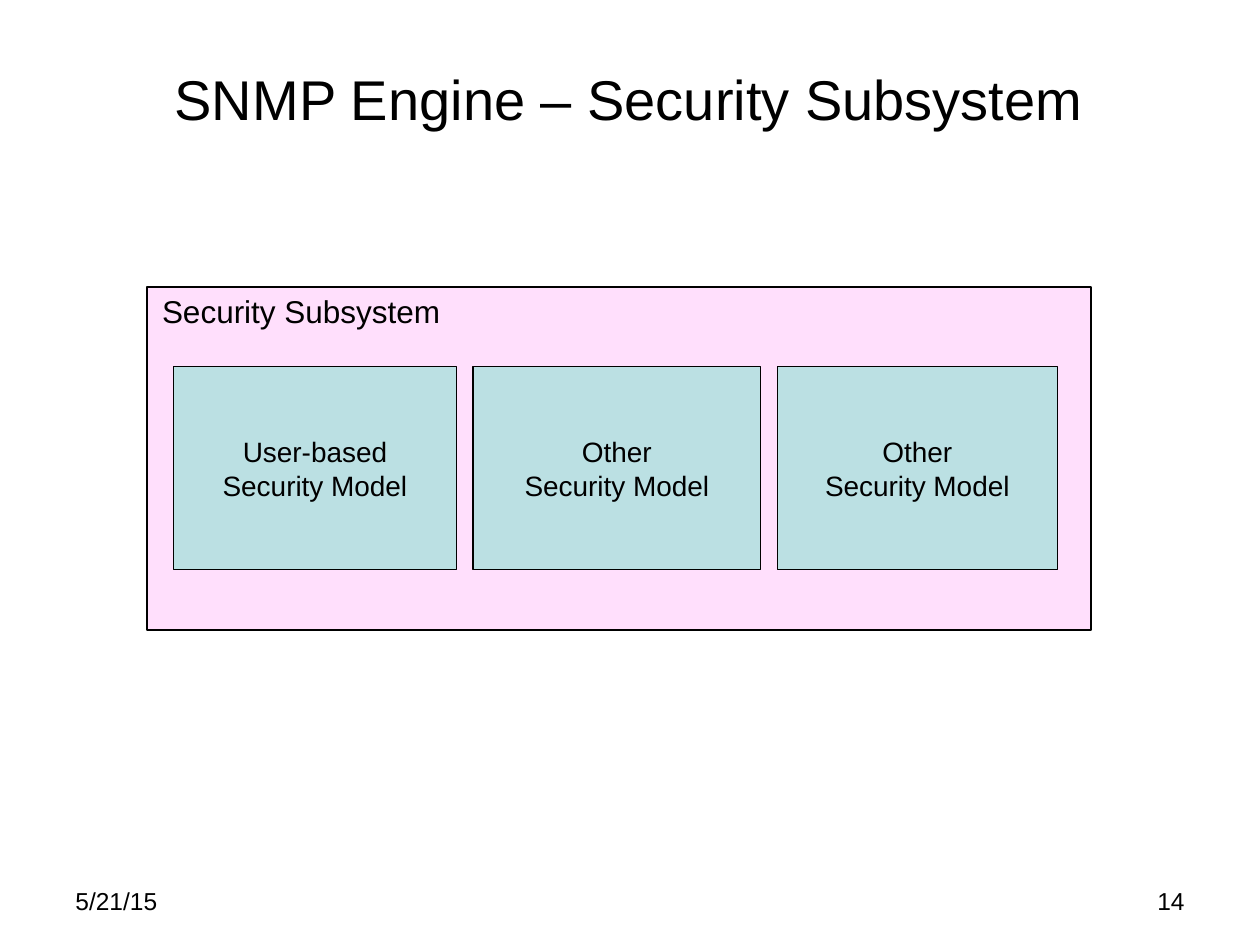
from pptx import Presentation
from pptx.dml.color import RGBColor
from pptx.enum.shapes import MSO_SHAPE as Shape
from pptx.enum.text import MSO_ANCHOR as Anchor, PP_ALIGN as Align
from pptx.util import Pt

COLORS = {"text": "000000", "line": "000000", "subsystem": "FFDFFC", "model": "BBE0E3"}


class SlideBuilder:
    font = "Arial"
    line_width = 0.75

    def __init__(self, slide):
        self.s = slide

    def color(self, name):
        return RGBColor.from_string(COLORS[name])

    def set_text(self, sp, lines, size, align, anchor, wrap=True):
        tf = sp.text_frame
        tf.text = "\n".join(lines)
        tf.word_wrap = wrap
        tf.vertical_anchor = anchor
        for p in tf.paragraphs:
            p.alignment = align
            p.font.name = self.font
            p.font.size = Pt(size)
            p.font.color.rgb = self.color("text")

    def title(self, text, x, y, w, h, size):
        sp = self.s.shapes.title
        sp.left, sp.top, sp.width, sp.height = Pt(x), Pt(y), Pt(w), Pt(h)
        self.set_text(sp, [text], size, Align.CENTER, Anchor.MIDDLE)

    def label(self, text, x, y, w, h, size, align=Align.LEFT, wrap=True):
        sp = self.s.shapes.add_textbox(Pt(x), Pt(y), Pt(w), Pt(h))
        self.set_text(sp, [text], size, align, Anchor.TOP, wrap)

    def box(self, x, y, w, h, fill, lines=(), size=16):
        sp = self.s.shapes.add_shape(Shape.RECTANGLE, Pt(x), Pt(y), Pt(w), Pt(h))
        sp.shadow.inherit = False
        sp.fill.solid()
        sp.fill.fore_color.rgb = self.color(fill)
        sp.line.color.rgb = self.color("line")
        sp.line.width = Pt(self.line_width)
        if lines:
            self.set_text(sp, lines, size, Align.CENTER, Anchor.MIDDLE, wrap=False)


def main():
    prs = Presentation()
    prs.slide_width, prs.slide_height = Pt(720), Pt(540)
    b = SlideBuilder(prs.slides.add_slide(prs.slide_layouts[5]))

    b.title("SNMP Engine – Security Subsystem", 35.5, 11, 648, 90, 32)
    b.box(84, 164, 539.5, 196, "subsystem")
    b.label("Security Subsystem", 85.5, 163.5, 173.5, 29, 18, wrap=False)

    models = [("User-based", 161.5), ("Other", 164.5), ("Other", 160)]
    x, gap = 99.25, 9.5
    for kind, width in models:
        b.box(x, 209.5, width, 116, "model", [kind, "Security Model"])
        x += width + gap

    b.label("5/21/15", 36, 502.5, 168, 37.5, 14)
    b.label("14", 516, 502.5, 168, 37.5, 14, Align.RIGHT)
    prs.save("out.pptx")


if __name__ == "__main__":
    main()
